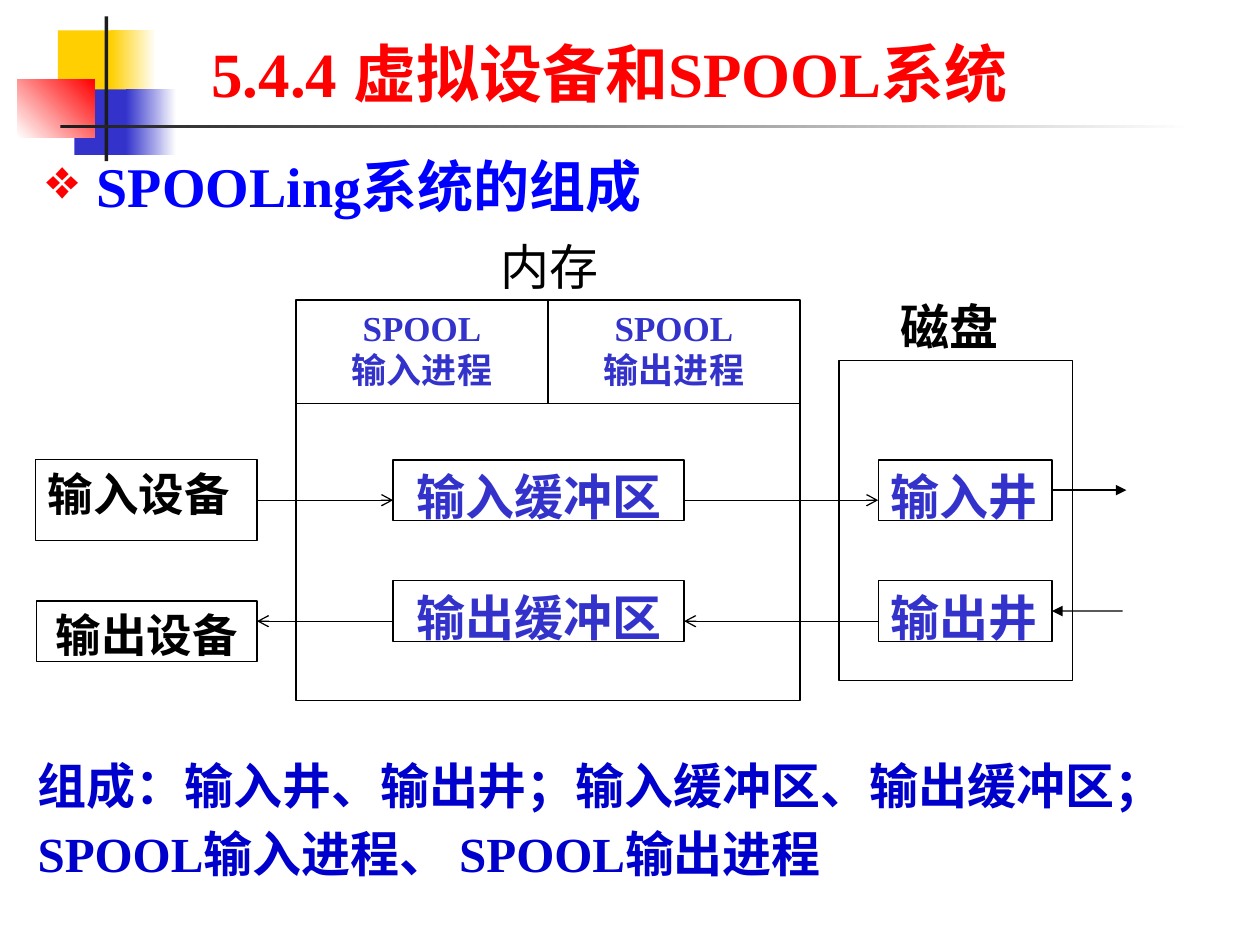
from lxml import etree
from pptx import Presentation
from pptx.dml.color import RGBColor
from pptx.enum import shapes as kinds, text
from pptx.oxml.ns import qn
from pptx.util import Inches, Pt

BLACK = RGBColor(0, 0, 0)
WHITE = RGBColor(255, 255, 255)
DARK = RGBColor(0x1C, 0x1C, 0x1C)
GOLD = RGBColor(0xFF, 0xCF, 0x01)
RED = RGBColor(255, 0, 0)
INDIGO = RGBColor(0x33, 0x33, 0xCC)
BLUE = RGBColor(0, 0, 255)
NAVY = RGBColor(0, 0, 0xCC)
SERIF, SANS = "Times New Roman", "Noto Sans CJK SC"
LEFT, MID, JUST = text.PP_ALIGN.LEFT, text.PP_ALIGN.CENTER, text.PP_ALIGN.JUSTIFY


def put_text(shape, words, size, color, font=SANS, align=LEFT, bold=True,
             anchor=text.MSO_ANCHOR.TOP, mark=None):
    """Fill a shape with one paragraph per line; mark is a red bullet sign."""
    frame = shape.text_frame
    frame.word_wrap = True
    frame.vertical_anchor = anchor
    frame.text = words
    for para in frame.paragraphs:
        para.alignment = align
        if mark:
            props = para._p.get_or_add_pPr()
            props.set("marL", str(Inches(0.4)))
            props.set("indent", str(-Inches(0.4)))
            tint = etree.SubElement(props, qn("a:buClr"))
            etree.SubElement(tint, qn("a:srgbClr"), val=str(RED))
            etree.SubElement(props, qn("a:buChar"), char=mark)
        para.font.size = Pt(size)
        para.font.name = font
        para.font.bold = bold
        para.font.color.rgb = color


def add_text(slide, x, y, w, h, *args, **style):
    box = slide.shapes.add_textbox(Inches(x), Inches(y), Inches(w), Inches(h))
    put_text(box, *args, **style)
    return box


def add_rect(slide, x, y, w, h):
    rect = slide.shapes.add_shape(kinds.MSO_SHAPE.RECTANGLE,
                                  Inches(x), Inches(y), Inches(w), Inches(h))
    rect.shadow.inherit = False
    return rect


def add_box(slide, x, y, w, h, *args, **style):
    """White box with a thin black line, and text if any is given."""
    box = add_rect(slide, x, y, w, h)
    box.fill.solid()
    box.fill.fore_color.rgb = WHITE
    box.line.color.rgb = BLACK
    box.line.width = Pt(0.75)
    if args:
        put_text(box, *args, **style)
    return box


def add_line(slide, x1, y1, x2, y2, tip=None):
    line = slide.shapes.add_connector(kinds.MSO_CONNECTOR.STRAIGHT, Inches(x1),
                                      Inches(y1), Inches(x2), Inches(y2))
    line.line.color.rgb = BLACK
    line.line.width = Pt(0.75)
    if tip:
        etree.SubElement(line.line._get_or_add_ln(), qn("a:tailEnd"), type=tip)
    etree.SubElement(line._element.spPr, qn("a:effectLst"))
    return line


def add_decor(slide, x, y):
    """Coloured squares and crossing bars; a second colour makes a fade."""
    parts = [
        (0.32, 0.11, 0.48, 0.52, GOLD, None, 0),
        (0.74, 0.11, 0.36, 0.52, GOLD, WHITE, 0),
        (0.45, 0.58, 0.46, 0.52, INDIGO, None, 0),
        (0.86, 0.58, 0.4, 0.52, INDIGO, WHITE, 0),
        (0, 0.5, 0.61, 0.46, WHITE, RED, 45),
        (0.69, 0, 0.03, 1.15, DARK, None, 0),
        (0.34, 0.86, 9, 0.03, DARK, WHITE, 0),
    ]
    for dx, dy, w, h, first, last, angle in parts:
        rect = add_rect(slide, x + dx, y + dy, w, h)
        rect.line.fill.background()
        if last is None:
            rect.fill.solid()
            rect.fill.fore_color.rgb = first
            continue
        rect.fill.gradient()
        rect.fill.gradient_angle = angle
        for stop, color, place in zip(rect.fill.gradient_stops, (first, last), (0, 1)):
            stop.color.rgb = color
            stop.position = place


def add_memory(slide, x, y, w, h):
    add_text(slide, x + 0.97, y - 0.55, 2.08, 0.57, "内存", 28, BLACK,
             font=SERIF, align=MID, bold=False)
    add_box(slide, x, y, w, h)
    head, half = 0.82, w / 2
    add_line(slide, x, y + head, x + w, y + head)
    add_line(slide, x + half, y, x + half, y + head)
    for i, way in enumerate(("输入", "输出")):
        add_text(slide, x + i * half, y, half, head, f"SPOOL\n{way}进程", 20,
                 INDIGO, font=SERIF, align=MID)
        add_box(slide, x + 0.77, y + 1.27 + i * 0.96, 2.31, 0.48,
                f"{way}缓冲区", 28, INDIGO, align=MID)


def add_disk(slide, x, y, w, h):
    """Draw the disk and return its input and output wells."""
    add_text(slide, x + 0.39, y - 0.56, 1.23, 0.48, "磁盘", 28, BLACK, align=JUST)
    add_box(slide, x, y, w, h)
    return [add_box(slide, x + 0.31, y + 0.79 + i * 0.96, 1.38, 0.48, name, 28,
                    INDIGO, align=JUST)
            for i, name in enumerate(("输入井", "输出井"))]


def add_diagram(slide, x, y):
    source = add_box(slide, x, y + 1.27, 1.76, 0.64, "输入设备", 26, BLACK, align=JUST)
    add_box(slide, x + 0.01, y + 2.39, 1.75, 0.48, "输出设备", 26, BLACK, align=MID)
    add_memory(slide, x + 2.07, y, 4, 3.18)
    inwell, outwell = add_disk(slide, x + 6.38, y + 0.48, 1.85, 2.54)

    row_in, row_out = y + 1.59, y + 2.55
    feed = add_line(slide, x + 1.76, row_in, x + 2.84, row_in, "arrow")
    feed.begin_connect(source, 3)
    add_line(slide, x + 5.15, row_in, x + 6.69, row_in, "arrow")
    add_line(slide, x + 6.69, row_out, x + 5.15, row_out, "arrow")
    add_line(slide, x + 2.84, row_out, x + 1.76, row_out, "arrow")

    out = add_line(slide, x + 8.07, y + 1.51, x + 8.66, y + 1.51, "triangle")
    out.begin_connect(inwell, 3)
    back = add_line(slide, x + 8.63, y + 2.47, x + 8.07, y + 2.47, "triangle")
    back.end_connect(outwell, 3)


def main():
    deck = Presentation()
    deck.slide_width, deck.slide_height = Inches(10), Inches(7.5)
    slide = deck.slides.add_slide(deck.slide_layouts[6])
    add_decor(slide, 0.14, 0.13)
    add_text(slide, 1.58, 0.13, 7.74, 0.79, "5.4.4 虚拟设备和SPOOL系统", 36, RED,
             font=SERIF, anchor=text.MSO_ANCHOR.BOTTOM)
    add_text(slide, 0.27, 1.15, 5.43, 0.64, "SPOOLing系统的组成", 32, BLUE,
             font=SERIF, mark="❖")
    add_diagram(slide, 0.28, 2.38)
    note = add_text(slide, 0.2, 5.88, 9.61, 1.18,
                    "组成：输入井、输出井；输入缓冲区、输出缓冲区；SPOOL输入进程、 SPOOL输出进程",
                    28, NAVY, font=SERIF)
    note.text_frame.paragraphs[0].line_spacing = 1.15
    deck.save("out.pptx")


if __name__ == "__main__":
    main()
